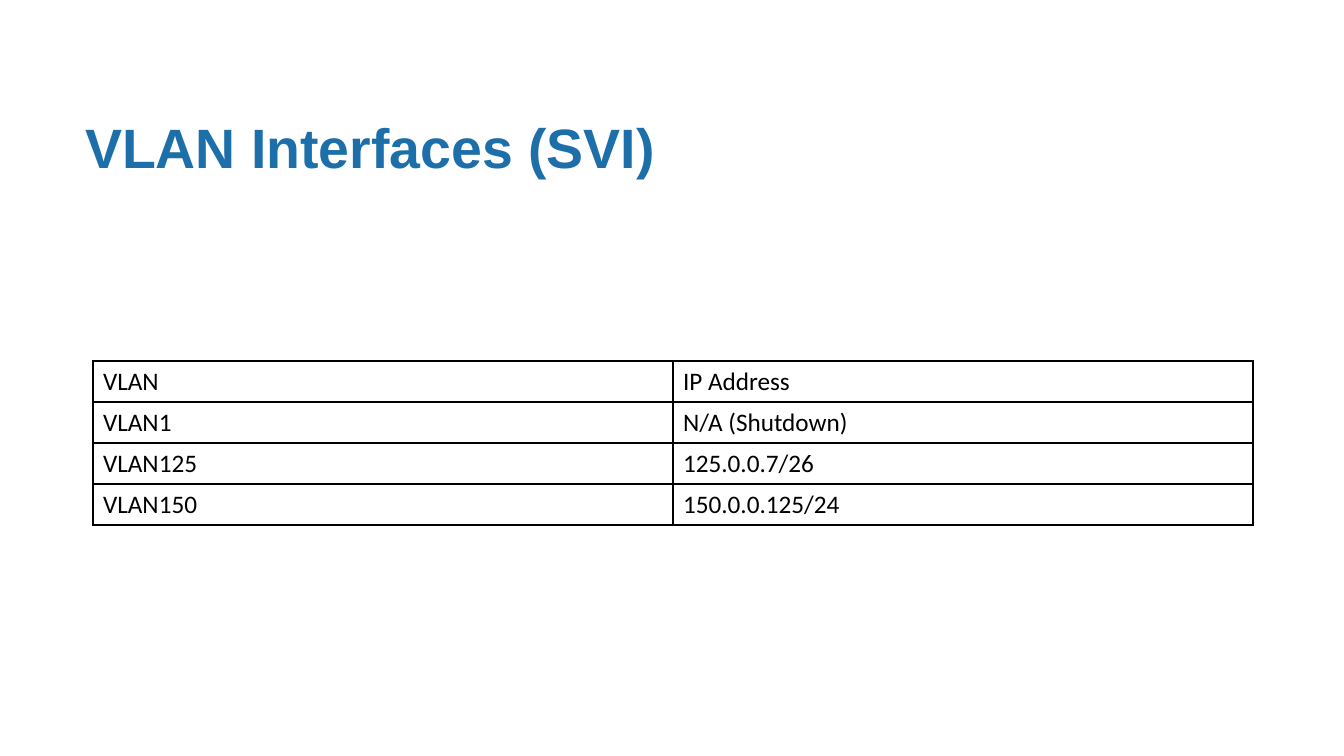
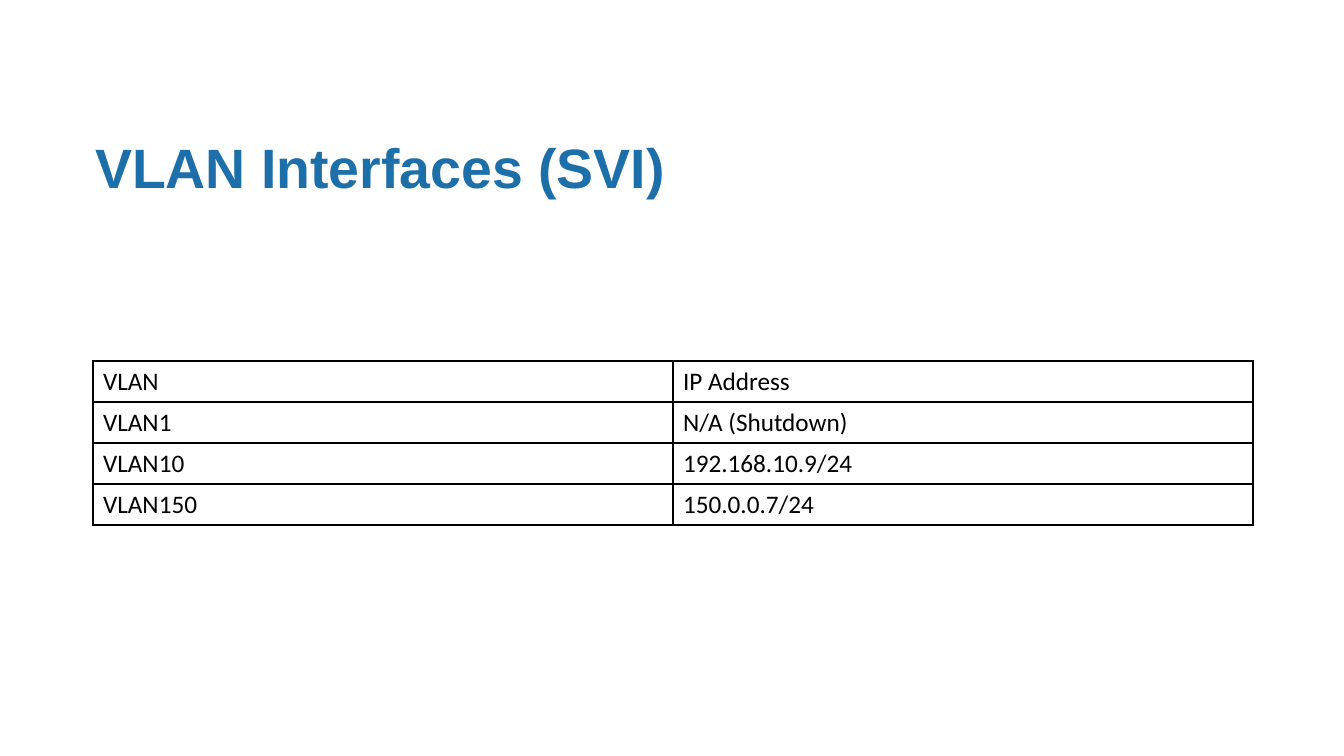
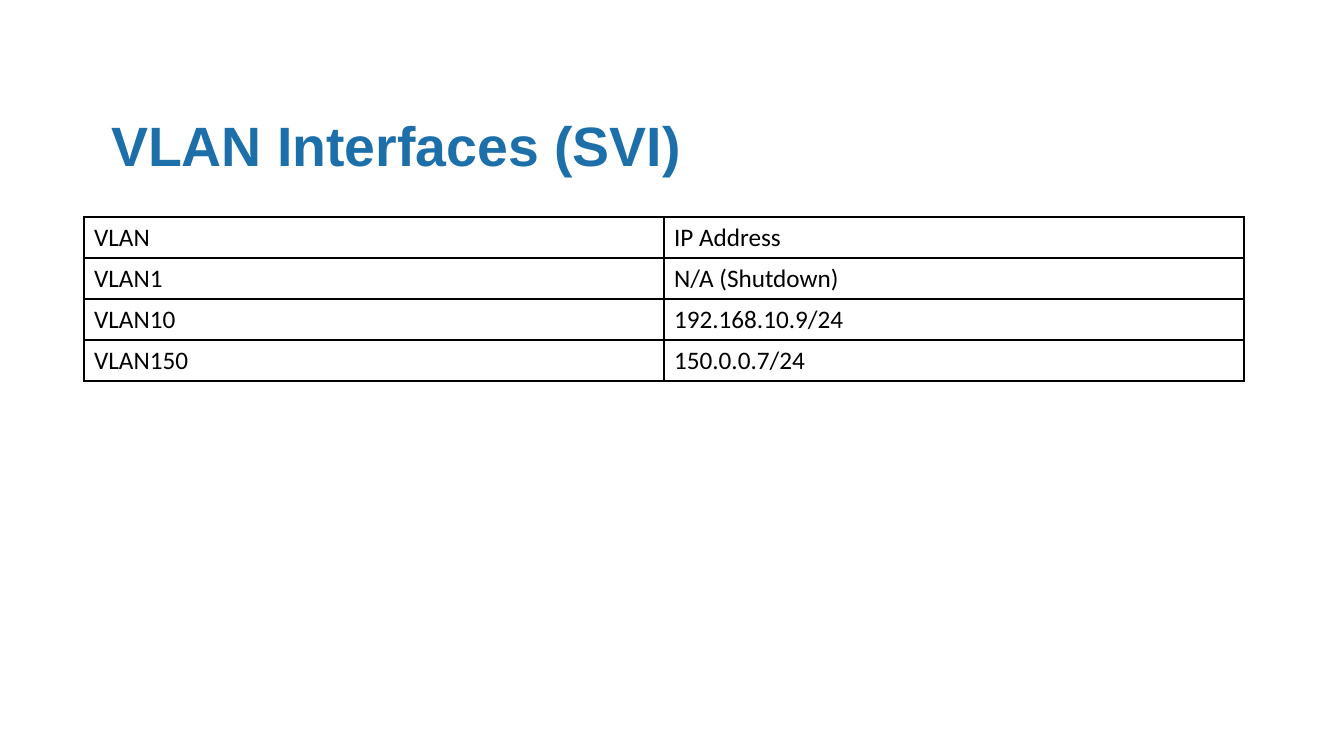
import dataclasses

import pptx
import pptx.dml.color
import pptx.enum.text
import pptx.oxml
import pptx.oxml.ns
import pptx.util


@dataclasses.dataclass(frozen=True)
class Theme:
    title_color: str = "1D6FA9"
    text_color: str = "000000"
    border_color: str = "000000"
    title_font: str = "Arial"
    table_font: str = "Calibri"
    title_size: float = 39.6
    table_size: float = 18
    border_width: float = 1


THEME = Theme()
SLIDE_W, SLIDE_H = 1344, 756
TITLE_W, TITLE_H = 1160, 146
COL_W, ROW_H = 580, 41
TITLE_ONLY = 5

TITLE = "VLAN Interfaces (SVI)"
HEADER = [("VLAN", "IP Address"), ("VLAN1", "N/A (Shutdown)")]
FIRST_SWITCH = [("VLAN125", "125.0.0.7/26"), ("VLAN150", "150.0.0.125/24")]
SECOND_SWITCH = [("VLAN10", "192.168.10.9/24"), ("VLAN150", "150.0.0.7/24")]
SLIDES = [
    ((75, 73), (93, 361), FIRST_SWITCH),
    ((85, 93), (93, 361), SECOND_SWITCH),
    ((101, 71), (84, 217), SECOND_SWITCH),
]


def px(n):
    return pptx.util.Emu(round(n * 9144000 / 1008))


def add_run(p, text, font, size, color, bold=False):
    r = p.add_run()
    r.text = text
    r.font.name = font
    r.font.size = pptx.util.Pt(size)
    r.font.bold = bold
    r.font.color.rgb = pptx.dml.color.RGBColor.from_string(color)


def set_title(s, text, left, top):
    sp = s.shapes.title
    sp.left, sp.top, sp.width, sp.height = map(px, (left, top, TITLE_W, TITLE_H))
    tf = sp.text_frame
    tf.word_wrap = True
    tf.auto_size = pptx.enum.text.MSO_AUTO_SIZE.NONE
    tf.vertical_anchor = pptx.enum.text.MSO_ANCHOR.MIDDLE
    p = tf.paragraphs[0]
    p.alignment = pptx.enum.text.PP_ALIGN.LEFT
    add_run(p, text, THEME.title_font, THEME.title_size, THEME.title_color, True)


def set_borders(cell):
    tc_pr = cell._tc.get_or_add_tcPr()
    width = pptx.util.Pt(THEME.border_width)
    for side in ("lnL", "lnR", "lnT", "lnB"):
        tc_pr.append(pptx.oxml.parse_xml(
            f'<a:{side} {pptx.oxml.ns.nsdecls("a")} w="{width}"><a:solidFill>'
            f'<a:srgbClr val="{THEME.border_color}"/></a:solidFill></a:{side}>'))


def add_table(s, rows, left, top):
    cols = len(rows[0])
    frame = s.shapes.add_table(len(rows), cols, px(left), px(top),
                               px(COL_W * cols), px(ROW_H * len(rows)))
    table = frame.table
    table.first_row = table.horz_banding = False
    for i, row in enumerate(rows):
        for j, text in enumerate(row):
            cell = table.cell(i, j)
            set_borders(cell)
            cell.fill.background()
            cell.vertical_anchor = pptx.enum.text.MSO_ANCHOR.MIDDLE
            add_run(cell.text_frame.paragraphs[0], text, THEME.table_font,
                    THEME.table_size, THEME.text_color)


def main():
    prs = pptx.Presentation()
    prs.slide_width, prs.slide_height = px(SLIDE_W), px(SLIDE_H)
    for title_at, table_at, rows in SLIDES:
        s = prs.slides.add_slide(prs.slide_layouts[TITLE_ONLY])
        set_title(s, TITLE, *title_at)
        add_table(s, HEADER + rows, *table_at)
    prs.save("out.pptx")


if __name__ == "__main__":
    main()
